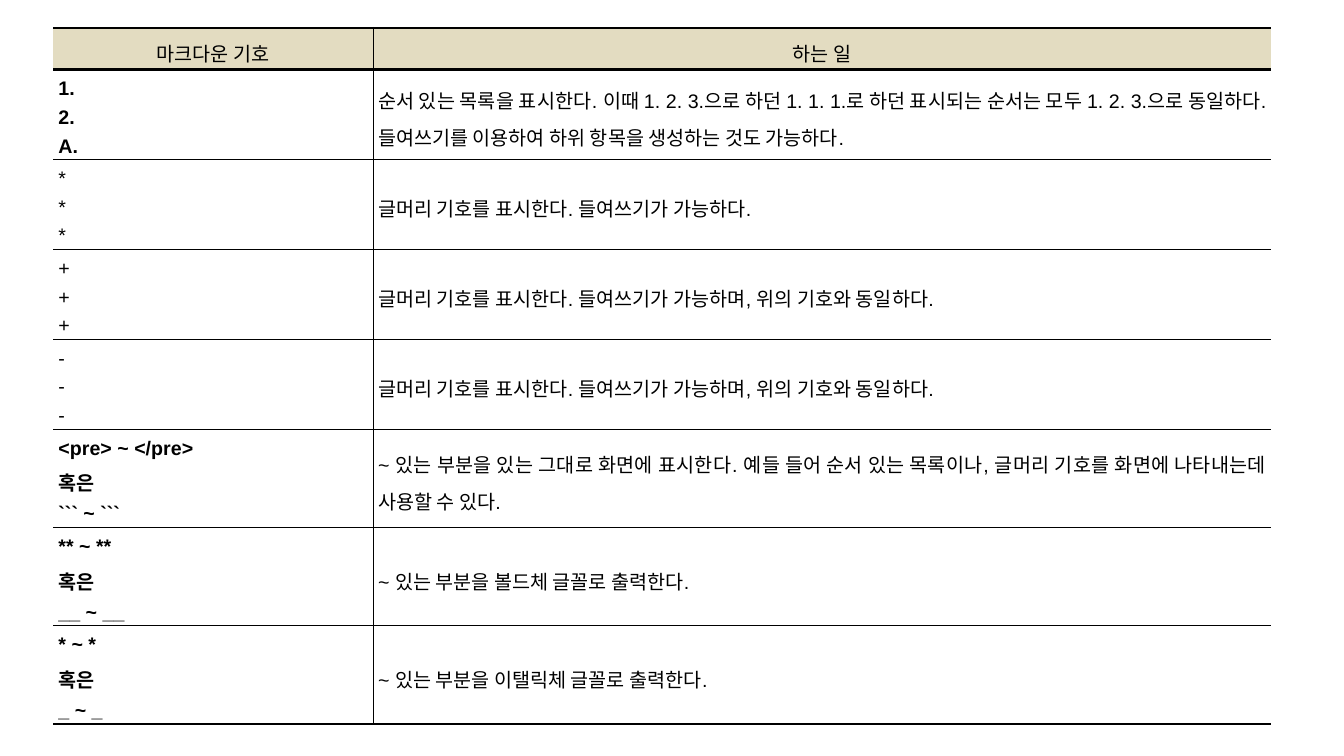
from dataclasses import dataclass

from lxml.etree import SubElement
from pptx import Presentation
from pptx.dml.color import RGBColor as RGB
from pptx.enum.text import MSO_ANCHOR as Anchor, PP_ALIGN as Align
from pptx.oxml.ns import qn
from pptx.util import Inches, Pt


@dataclass(frozen=True)
class Theme:
    """Colours, type and line widths of the slide."""
    ink: str = "000000"
    head: str = "E3DCC1"
    font: str = "Arial"
    size: float = 14
    space: float = 1.3
    thin: float = 0.28
    thick: float = 1.98


THEME = Theme()
WIDTHS = (3.17, 8.91)
HEAD = ("마크다운 기호", "하는 일")
SAME = "글머리 기호를 표시한다. 들여쓰기가 가능하며, 위의 기호와 동일하다."
ROWS = (
    ("1.\n2.\nA.", True,
     "순서 있는 목록을 표시한다. 이때 1. 2. 3.으로 하던 1. 1. 1.로 하던 표시되는 순서는 모두 "
     "1. 2. 3.으로 동일하다. 들여쓰기를 이용하여 하위 항목을 생성하는 것도 가능하다."),
    ("*\n*\n*", False, "글머리 기호를 표시한다. 들여쓰기가 가능하다."),
    ("+\n+\n+", False, SAME),
    ("-\n-\n-", False, SAME),
    ("<pre> ~ </pre>\n혹은\n``` ~ ```", True,
     "~ 있는 부분을 있는 그대로 화면에 표시한다. 예들 들어 순서 있는 목록이나, "
     "글머리 기호를 화면에 나타내는데 사용할 수 있다."),
    ("** ~ **\n혹은\n__ ~ __", True, "~ 있는 부분을 볼드체 글꼴로 출력한다."),
    ("* ~ *\n혹은\n_ ~ _", True, "~ 있는 부분을 이탤릭체 글꼴로 출력한다."),
)


def add_edge(cell, side, width):
    """Draw one cell border, or clear it when the width is zero."""
    edge = SubElement(cell._tc.get_or_add_tcPr(), qn(f"a:ln{side}"))
    edge.set("w", str(Pt(width)))
    if width:
        fill = SubElement(edge, qn("a:solidFill"))
        SubElement(fill, qn("a:srgbClr")).set("val", THEME.ink)
    else:
        SubElement(edge, qn("a:noFill"))


def set_edges(cell, row, col):
    """Rule the cell by its place in the table."""
    top = THEME.thick if row < 2 else THEME.thin
    base = THEME.thick if row in (0, len(ROWS)) else THEME.thin
    left, right = (THEME.thin, 0) if col else (0, THEME.thin)
    for side, width in zip("LRTB", (left, right, top, base)):
        add_edge(cell, side, width)


def set_text(cell, text, align, bold=False):
    """Write the cell's lines in the table's type."""
    cell.vertical_anchor = Anchor.MIDDLE
    cell.margin_left = cell.margin_right = Inches(0.05)
    cell.margin_top = cell.margin_bottom = Inches(0.02)
    cell.text = text
    for para in cell.text_frame.paragraphs:
        para.alignment = align
        para.line_spacing = THEME.space
        font = para.font
        font.name, font.size, font.bold = THEME.font, Pt(THEME.size), bold
        font.color.rgb = RGB.from_string(THEME.ink)


def set_fill(cell, color=None):
    """Fill the cell, or leave it clear."""
    if color:
        cell.fill.solid()
        cell.fill.fore_color.rgb = RGB.from_string(color)
    else:
        cell.fill.background()


def add_guide(slide):
    """Add the table of markdown signs."""
    frame = slide.shapes.add_table(
        len(ROWS) + 1, len(WIDTHS),
        Inches(0.53), Inches(0.28), Inches(12.08), Inches(6.91))
    table = frame.table
    table.first_row = table.horz_banding = False
    for col, width in zip(table.columns, WIDTHS):
        col.width = Inches(width)
    for i, row in enumerate(table.rows):
        row.height = Inches(0.7 if i else 0.25)
        for j, cell in enumerate(row.cells):
            set_edges(cell, i, j)
            set_fill(cell, None if i else THEME.head)
    for j, title in enumerate(HEAD):
        set_text(table.cell(0, j), title, Align.CENTER)
    for i, (sign, bold, use) in enumerate(ROWS, 1):
        set_text(table.cell(i, 0), sign, Align.JUSTIFY, bold)
        set_text(table.cell(i, 1), use, Align.JUSTIFY)
    frame.height = Inches(6.91)


def main():
    """Build and save the slide."""
    deck = Presentation()
    deck.slide_width, deck.slide_height = Inches(13.33), Inches(7.5)
    add_guide(deck.slides.add_slide(deck.slide_layouts[6]))
    deck.save("out.pptx")


if __name__ == "__main__":
    main()
